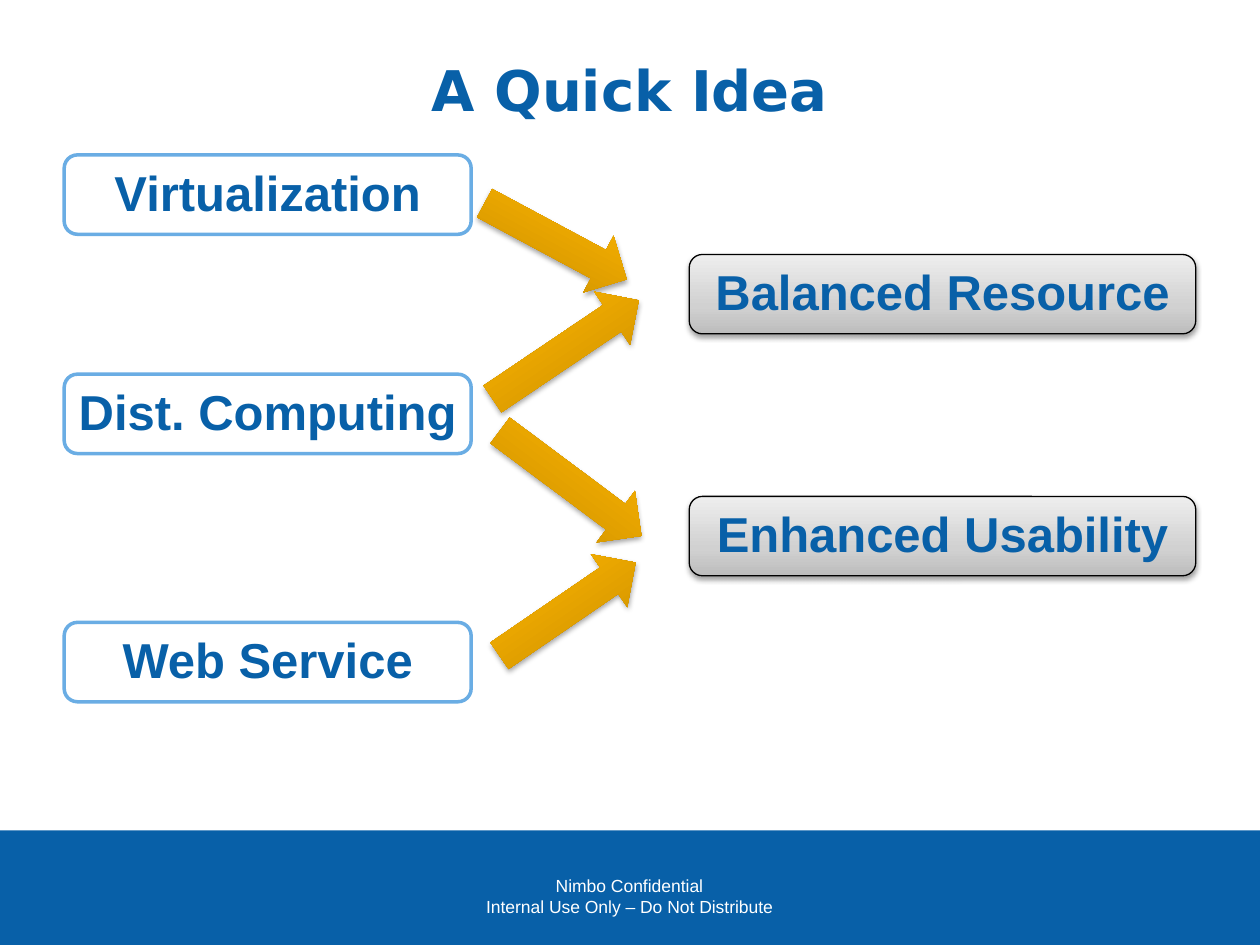
from lxml import etree
from pptx import Presentation
from pptx.dml.color import RGBColor
from pptx.enum import shapes, text
from pptx.oxml import ns
from pptx.util import Pt

COLORS = {
    "blue": "0860A8",
    "sky": "6AADE4",
    "white": "FFFFFF",
    "black": "000000",
}
GOLD = [(0, "C18900"), (80, "FAB200"), (100, "FBB300")]
SILVER = [(0, "BDBDBD"), (35, "D1D1D1"), (100, "EEEEEE")]
BOX_HEIGHT = 45.36
ARROW_HEIGHT = 36.72


def rgb(name):
    return RGBColor.from_string(COLORS[name])


def write(frame, words, size, color="blue", font="Arial", bold=False,
          wrap=True, insets=(7.2, 3.6, 7.2, 3.6)):
    """Put centred text in a frame; a newline becomes a line break."""
    frame.word_wrap = wrap
    frame.vertical_anchor = text.MSO_ANCHOR.MIDDLE
    (frame.margin_left, frame.margin_top,
     frame.margin_right, frame.margin_bottom) = map(Pt, insets)
    para = frame.paragraphs[0]
    para.alignment = text.PP_ALIGN.CENTER
    for index, line in enumerate(words.split("\n")):
        if index:
            para.add_line_break()
        span = para.add_run()
        span.text = line
        span.font.size = Pt(size)
        span.font.name = font
        span.font.bold = bold
        span.font.color.rgb = rgb(color)


def add_element(parent, tag, **attributes):
    element = etree.SubElement(parent, ns.qn(tag))
    for name, value in attributes.items():
        element.set(name, str(value))
    return element


def fill_gradient(shape, stops):
    """Fill from bottom to top with any number of colour stops."""
    shape.fill.gradient()
    shape.fill.gradient_angle = 90
    stop_list = shape.element.spPr.find(".//" + ns.qn("a:gsLst"))
    for old_stop in list(stop_list):
        stop_list.remove(old_stop)
    for percent, color in stops:
        stop = add_element(stop_list, "a:gs", pos=percent * 1000)
        add_element(stop, "a:srgbClr", val=color)


def cast_shadow(shape, opacity, distance):
    effects = shape.element.spPr.find(ns.qn("a:effectLst"))
    shadow = add_element(effects, "a:outerShdw", blurRad=Pt(3.1),
                         dist=Pt(distance), dir=90 * 60000, rotWithShape=0)
    color = add_element(shadow, "a:srgbClr", val=COLORS["black"])
    add_element(color, "a:alpha", val=opacity * 1000)


def add_plain_shape(parent, kind, left, top, width, height):
    shape = parent.shapes.add_shape(kind, Pt(left), Pt(top), Pt(width), Pt(height))
    shape.shadow.inherit = False
    shape.line.fill.background()
    return shape


def add_label_box(parent, words, left, top, width, line_color, line_width):
    box = add_plain_shape(parent, shapes.MSO_SHAPE.ROUNDED_RECTANGLE,
                          left, top, width, BOX_HEIGHT)
    box.line.color.rgb = rgb(line_color)
    box.line.width = Pt(line_width)
    write(box.text_frame, words, 28, bold=True, wrap=False, insets=(7.2, 0, 7.2, 3.6))
    return box


def add_arrow(parent, left, top, width, rotation):
    arrow = add_plain_shape(parent, shapes.MSO_SHAPE.RIGHT_ARROW,
                            left, top, width, ARROW_HEIGHT)
    arrow.rotation = rotation
    fill_gradient(arrow, GOLD)
    cast_shadow(arrow, 35, 1.8)


def add_technology(page, words, left, top, width, arrows):
    """Group a technology box with the arrows that leave it."""
    group = page.shapes.add_group_shape()
    box = add_label_box(group, words, left, top, width, "sky", 2)
    box.fill.solid()
    box.fill.fore_color.rgb = rgb("white")
    for arrow in arrows:
        add_arrow(group, *arrow)


def add_benefit(page, words, left, top, width):
    box = add_label_box(page, words, left, top, width, "black", 0.75)
    fill_gradient(box, SILVER)
    cast_shadow(box, 38, 1.6)


def add_footer(page, left, top, width, height):
    bar = add_plain_shape(page, shapes.MSO_SHAPE.RECTANGLE, left, top, width, height)
    bar.fill.solid()
    bar.fill.fore_color.rgb = rgb("blue")
    note_width = 193
    note = page.shapes.add_textbox(Pt(left + (width - note_width) / 2), Pt(top + 22.32),
                                   Pt(note_width), Pt(31))
    write(note.text_frame, "Nimbo Confidential\nInternal Use Only – Do Not Distribute",
          10, color="white", wrap=False)


def set_title(page, words, left, top, width, height):
    title = page.shapes.title
    title.left, title.top, title.width, title.height = map(Pt, (left, top, width, height))
    write(title.text_frame, words, 32, font="DejaVu Sans", bold=True)


def main():
    deck = Presentation()
    deck.slide_width, deck.slide_height = Pt(720), Pt(540)
    page = deck.slides.add_slide(deck.slide_layouts[5])

    add_footer(page, -0.72, 474.48, 720.72, 65.52)
    set_title(page, "A Quick Idea", 36, 12.24, 648, 77.76)

    # Technologies on the left: top, words, arrows (left, top, width, rotation)
    technologies = [
        (88.56, "Virtualization", [(271.44, 119.52, 92.16, 28.2)]),
        (355.68, "Web Service", [(277.2, 329.76, 94.32, 325.6)]),
        (213.84, "Dist. Computing", [(272.88, 181.44, 100.8, 326),
                                     (275.76, 257.76, 100.8, 36.7)]),
    ]
    for top, words, arrows in technologies:
        add_technology(page, words, 36.72, top, 232.56, arrows)

    # Benefits on the right
    for top, words in [(145.44, "Balanced Resource"), (283.68, "Enhanced Usability")]:
        add_benefit(page, words, 393.84, top, 289.44)

    deck.save("out.pptx")


if __name__ == "__main__":
    main()
